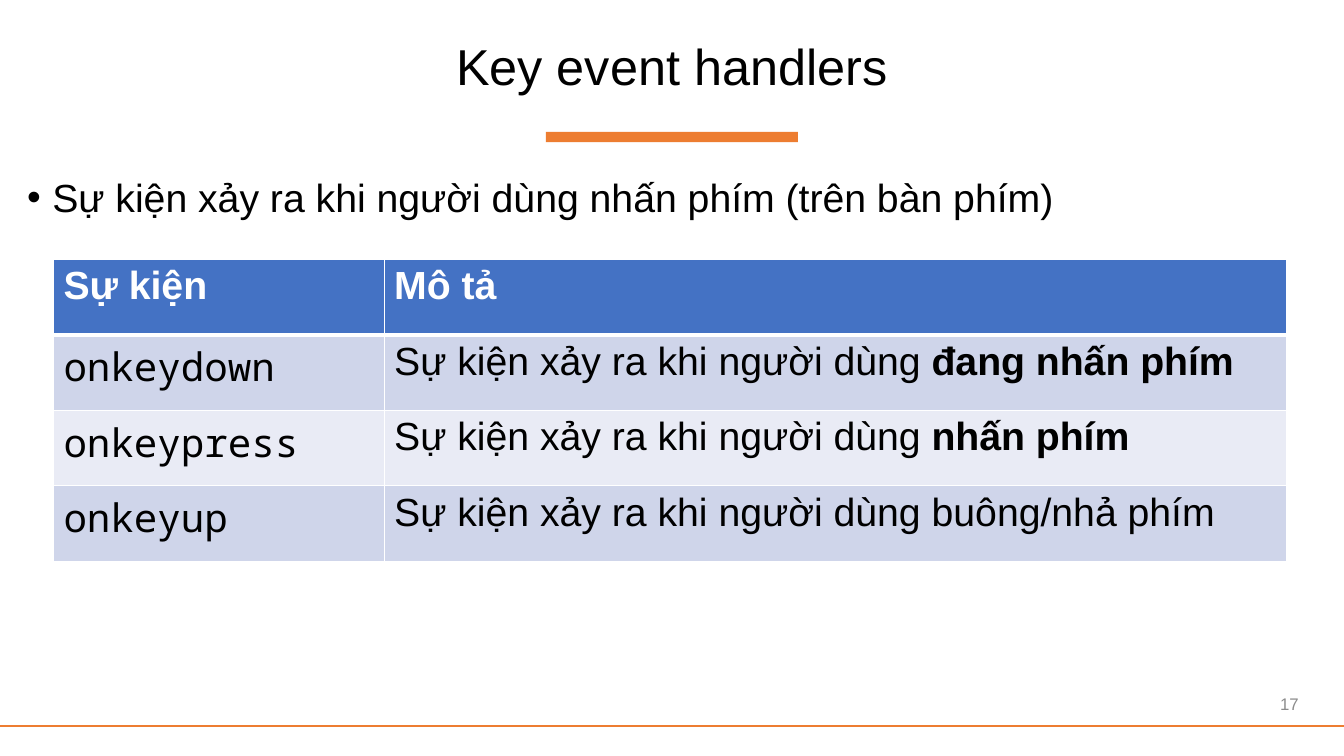
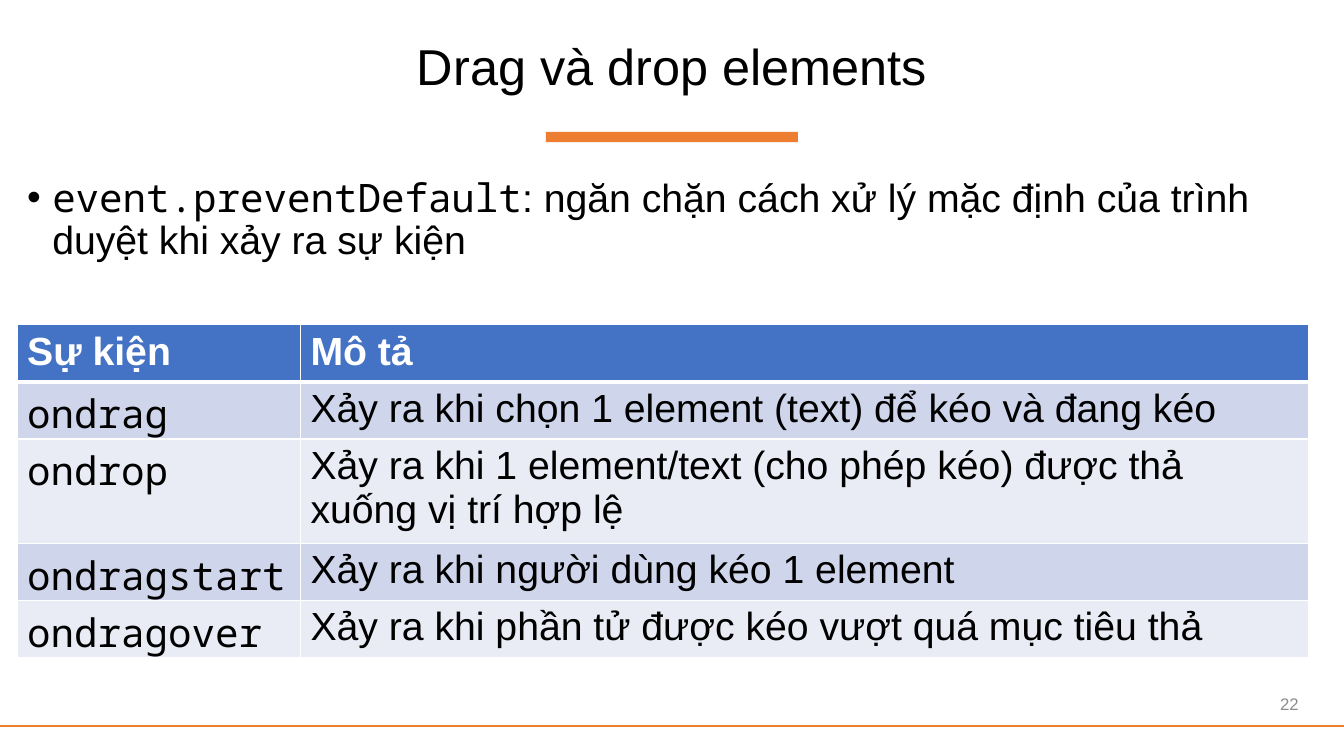
import pptx
import pptx.dml.color
import pptx.enum.shapes
import pptx.enum.text
import pptx.oxml
import pptx.oxml.ns
import pptx.util
from pptx.util import Inches

RGBColor = pptx.dml.color.RGBColor
Align = pptx.enum.text.PP_ALIGN
Anchor = pptx.enum.text.MSO_ANCHOR

BLACK = RGBColor(0x00, 0x00, 0x00)
WHITE = RGBColor(0xFF, 0xFF, 0xFF)
GRAY = RGBColor(0x8C, 0x8C, 0x8C)
ORANGE = RGBColor(0xED, 0x7D, 0x31)
HEADER_BLUE = RGBColor(0x44, 0x72, 0xC4)
BANDS = [RGBColor(0xCF, 0xD5, 0xEA), RGBColor(0xE9, 0xEB, 0xF5)]

SLIDE_WIDTH, SLIDE_HEIGHT = 13.33, 7.5

# Run formats
TEXT = {"name": "Arial", "size": pptx.util.Pt(28), "color": BLACK}
CODE = {**TEXT, "name": "Noto Sans Mono"}
BOLD = {**TEXT, "bold": True}
HEADER = {**BOLD, "color": WHITE}
TITLE = {**TEXT, "size": pptx.util.Pt(36)}
PAGE_NUMBER = {**TEXT, "size": pptx.util.Pt(12), "color": GRAY}

# Paragraph formats
TITLE_PARAGRAPH = {"alignment": Align.CENTER, "line_spacing": 0.9}
BULLET_PARAGRAPH = {"line_spacing": 0.9, "space_before": pptx.util.Pt(10)}


def add_xml(parent, tag, content="", attributes=""):
    namespace = pptx.oxml.ns.nsdecls("a")
    parent.append(pptx.oxml.parse_xml(
        f"<a:{tag} {namespace} {attributes}>{content}</a:{tag}>"))


class Deck:
    """Holds the shared style and the current slide."""

    def __init__(self):
        self.presentation = pptx.Presentation()
        self.presentation.slide_width = Inches(SLIDE_WIDTH)
        self.presentation.slide_height = Inches(SLIDE_HEIGHT)
        self.slide = None

    def add_slide(self, title, number):
        layout = self.presentation.slide_layouts[6]
        self.slide = self.presentation.slides.add_slide(layout)
        self.add_title_bar()
        self.add_footer_line()
        self.add_text((0, -0.04, SLIDE_WIDTH, 1.45), [(title, TITLE)],
                      TITLE_PARAGRAPH, Anchor.MIDDLE)
        self.add_text((9.98, 6.78, 3, 0.4), [(number, PAGE_NUMBER)],
                      {"alignment": Align.RIGHT}, Anchor.MIDDLE)

    def add_title_bar(self):
        width = 2.5
        bar = self.slide.shapes.add_shape(
            pptx.enum.shapes.MSO_SHAPE.RECTANGLE,
            Inches((SLIDE_WIDTH - width) / 2), Inches(1.31),
            Inches(width), Inches(0.1))
        bar.shadow.inherit = False
        bar.fill.solid()
        bar.fill.fore_color.rgb = ORANGE
        bar.line.fill.background()

    def add_footer_line(self):
        line = self.slide.shapes.add_connector(
            pptx.enum.shapes.MSO_CONNECTOR.STRAIGHT,
            0, Inches(7.2), Inches(SLIDE_WIDTH), Inches(7.2))
        line.line.color.rgb = ORANGE
        line.line.width = pptx.util.Pt(1.5)
        add_xml(line._element.spPr, "effectLst")

    def write_runs(self, paragraph, runs):
        for text, format_values in runs:
            run = paragraph.add_run()
            run.text = text
            for key, value in format_values.items():
                if key == "color":
                    run.font.color.rgb = value
                else:
                    setattr(run.font, key, value)

    def add_text(self, box, runs, paragraph_format, anchor=Anchor.TOP):
        shape = self.slide.shapes.add_textbox(*map(Inches, box))
        frame = shape.text_frame
        frame.word_wrap = True
        frame.vertical_anchor = anchor
        paragraph = frame.paragraphs[0]
        for key, value in paragraph_format.items():
            setattr(paragraph, key, value)
        self.write_runs(paragraph, runs)
        return paragraph

    def add_bullet(self, runs):
        paragraph = self.add_text((0.17, 1.72, 12.81, 5.05), runs,
                                  BULLET_PARAGRAPH)
        properties = paragraph._p.get_or_add_pPr()
        indent = Inches(0.25)
        properties.set("marL", str(indent))
        properties.set("indent", str(-indent))
        add_xml(properties, "buFont", attributes='typeface="Arial"')
        add_xml(properties, "buChar", attributes='char="•"')

    def style_cell(self, cell, row):
        # The rule under the header is thicker than the other borders
        widths = {"L": 1, "R": 1, "T": 3 if row == 1 else 1,
                  "B": 3 if row == 0 else 1}
        properties = cell._tc.get_or_add_tcPr()
        for side, points in widths.items():
            add_xml(properties, f"ln{side}",
                    f'<a:solidFill><a:srgbClr val="{WHITE}"/></a:solidFill>',
                    f'w="{pptx.util.Pt(points)}"')
        cell.fill.solid()
        cell.fill.fore_color.rgb = (
            BANDS[(row - 1) % 2] if row else HEADER_BLUE)

    def add_event_table(self, left, top, column_widths, row_height, events):
        rows = [([("Sự kiện", HEADER)], [("Mô tả", HEADER)])]
        rows += [([(name, CODE)], runs) for name, runs in events]
        table = self.slide.shapes.add_table(
            len(rows), len(column_widths), Inches(left), Inches(top),
            Inches(sum(column_widths)), Inches(row_height * len(rows))).table
        table.horz_banding = False
        for column, width in zip(table.columns, column_widths):
            column.width = Inches(width)
        for row, contents in enumerate(rows):
            table.rows[row].height = Inches(row_height)
            for column, runs in enumerate(contents):
                cell = table.cell(row, column)
                self.style_cell(cell, row)
                self.write_runs(cell.text_frame.paragraphs[0], runs)


def main():
    deck = Deck()

    # Key events
    user_action = "Sự kiện xảy ra khi người dùng "
    deck.add_slide("Key event handlers", "17")
    deck.add_bullet([(user_action + "nhấn phím (trên bàn phím)", TEXT)])
    deck.add_event_table(0.53, 2.57, (3.28, 8.95), 0.75, [
        ("onkeydown", [(user_action, TEXT), ("đang nhấn phím", BOLD)]),
        ("onkeypress", [(user_action, TEXT), ("nhấn phím", BOLD)]),
        ("onkeyup", [(user_action + "buông/nhả phím", TEXT)]),
    ])

    # Drag and drop events
    deck.add_slide("Drag và drop elements", "22")
    deck.add_bullet([
        ("event.preventDefault", CODE),
        (": ngăn chặn cách xử lý mặc định của trình duyệt "
         "khi xảy ra sự kiện", TEXT),
    ])
    descriptions = {
        "ondrag": "Xảy ra khi chọn 1 element (text) để kéo và đang kéo",
        "ondrop": "Xảy ra khi 1 element/text (cho phép kéo) được thả "
                  "xuống vị trí hợp lệ",
        "ondragstart": "Xảy ra khi người dùng kéo 1 element",
        "ondragover": "Xảy ra khi phần tử được kéo vượt quá mục tiêu thả",
    }
    deck.add_event_table(0.17, 3.22, (2.81, 10), 0.41, [
        (name, [(text, TEXT)]) for name, text in descriptions.items()])

    deck.presentation.save("out.pptx")


if __name__ == "__main__":
    main()
